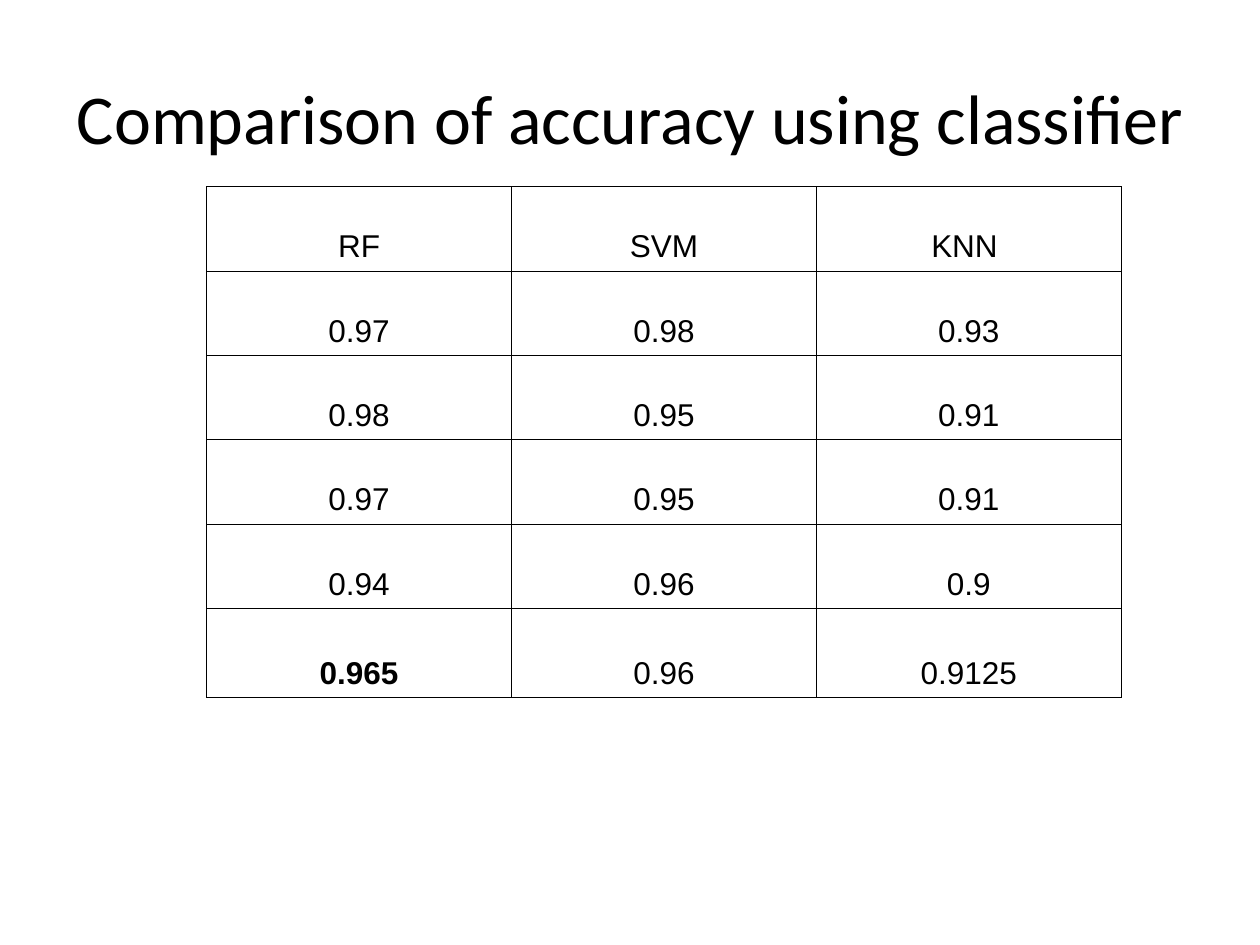
from typing import NamedTuple

from lxml import etree
from pptx import Presentation
from pptx.dml.color import RGBColor
from pptx.enum.text import MSO_ANCHOR, PP_ALIGN
from pptx.oxml.ns import qn
from pptx.util import Inches, Pt

CENTER = PP_ALIGN.CENTER
MIDDLE = MSO_ANCHOR.MIDDLE
BOTTOM = MSO_ANCHOR.BOTTOM
BLACK = "000000"
EDGES = ("a:lnL", "a:lnR", "a:lnT", "a:lnB")
TITLE = "Comparison of accuracy using classifier "
SCORES = (
    ("RF", "SVM", "KNN "),
    ("0.97", "0.98", "0.93"),
    ("0.98", "0.95", "0.91"),
    ("0.97", "0.95", "0.91"),
    ("0.94", "0.96", "0.9"),
    ("0.965", "0.96", "0.9125"),
)
BEST = "0.965"
WIDTH = 2.42
HEIGHTS = (0.67,) * 5 + (0.71,)


class Style(NamedTuple):
    """Font of a line of text."""
    font: str
    size: float
    bold: bool = False


def color(code: str) -> RGBColor:
    """Turn a hex string into a colour."""
    return RGBColor.from_string(code)


def write(frame, text: str, style: Style) -> None:
    """Put one centred line into a text frame."""
    line = frame.paragraphs[0]
    line.alignment = CENTER
    run = line.add_run()
    run.text = text
    form = {"name": style.font, "size": Pt(style.size), "bold": style.bold}
    for name, value in form.items():
        setattr(run.font, name, value)
    run.font.color.rgb = color(BLACK)


def outline(cell, code: str, width: float) -> None:
    """Draw the four borders of a cell."""
    props = cell._tc.get_or_add_tcPr()
    for spot, edge in enumerate(EDGES):
        line = etree.Element(qn(edge), w=str(Pt(width)))
        fill = etree.SubElement(line, qn("a:solidFill"))
        etree.SubElement(fill, qn("a:srgbClr"), val=code)
        props.insert(spot, line)


def add_title(slide) -> None:
    """Place and fill the title."""
    title = slide.shapes.title
    place = {"left": 0.5, "top": 0.3, "width": 9, "height": 1.25}
    for name, value in place.items():
        setattr(title, name, Inches(value))
    title.text_frame.vertical_anchor = MIDDLE
    write(title.text_frame, TITLE, Style("Calibri", 40))


def add_scores(slide) -> None:
    """Add the table of accuracy scores."""
    count = len(SCORES[0])
    table = slide.shapes.add_table(
        len(SCORES), count, Inches(1.64), Inches(1.48),
        Inches(WIDTH * count), Inches(sum(HEIGHTS))).table
    table.first_row = table.horz_banding = False
    for column in table.columns:
        column.width = Inches(WIDTH)
    form = {"vertical_anchor": BOTTOM,
            "margin_left": Inches(0.08), "margin_right": Inches(0.08),
            "margin_top": Inches(0.05), "margin_bottom": Inches(0.05)}
    for row, height, texts in zip(table.rows, HEIGHTS, SCORES):
        row.height = Inches(height)
        for cell, text in zip(row.cells, texts):
            for name, value in form.items():
                setattr(cell, name, value)
            cell.fill.background()
            outline(cell, BLACK, 0.45)
            write(cell.text_frame, text, Style("Arial", 18, text == BEST))


def main() -> None:
    """Build and save the slide."""
    deck = Presentation()
    deck.slide_width, deck.slide_height = Inches(10), Inches(7.5)
    slide = deck.slides.add_slide(deck.slide_layouts[5])
    add_title(slide)
    add_scores(slide)
    deck.save("out.pptx")


if __name__ == "__main__":
    main()
